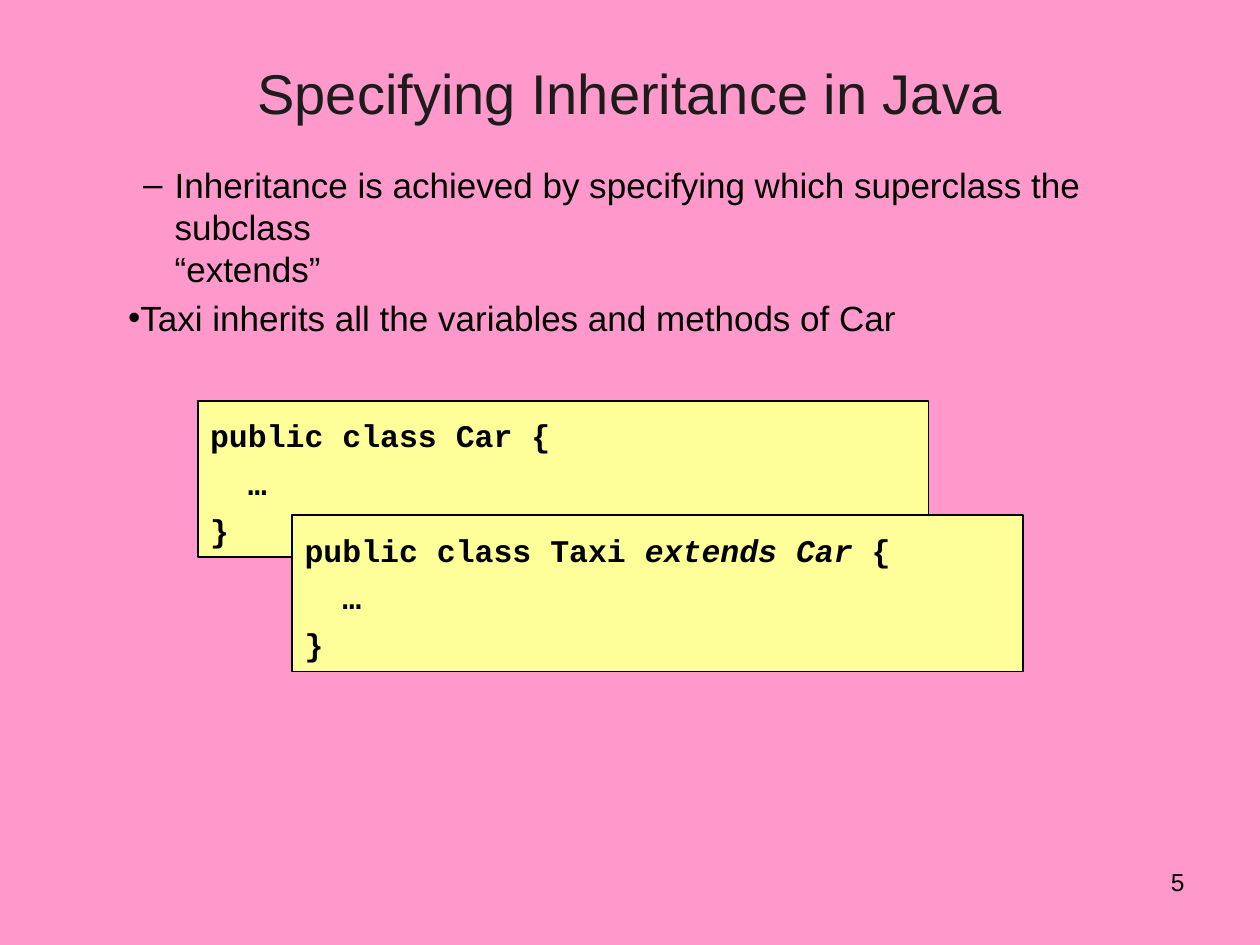
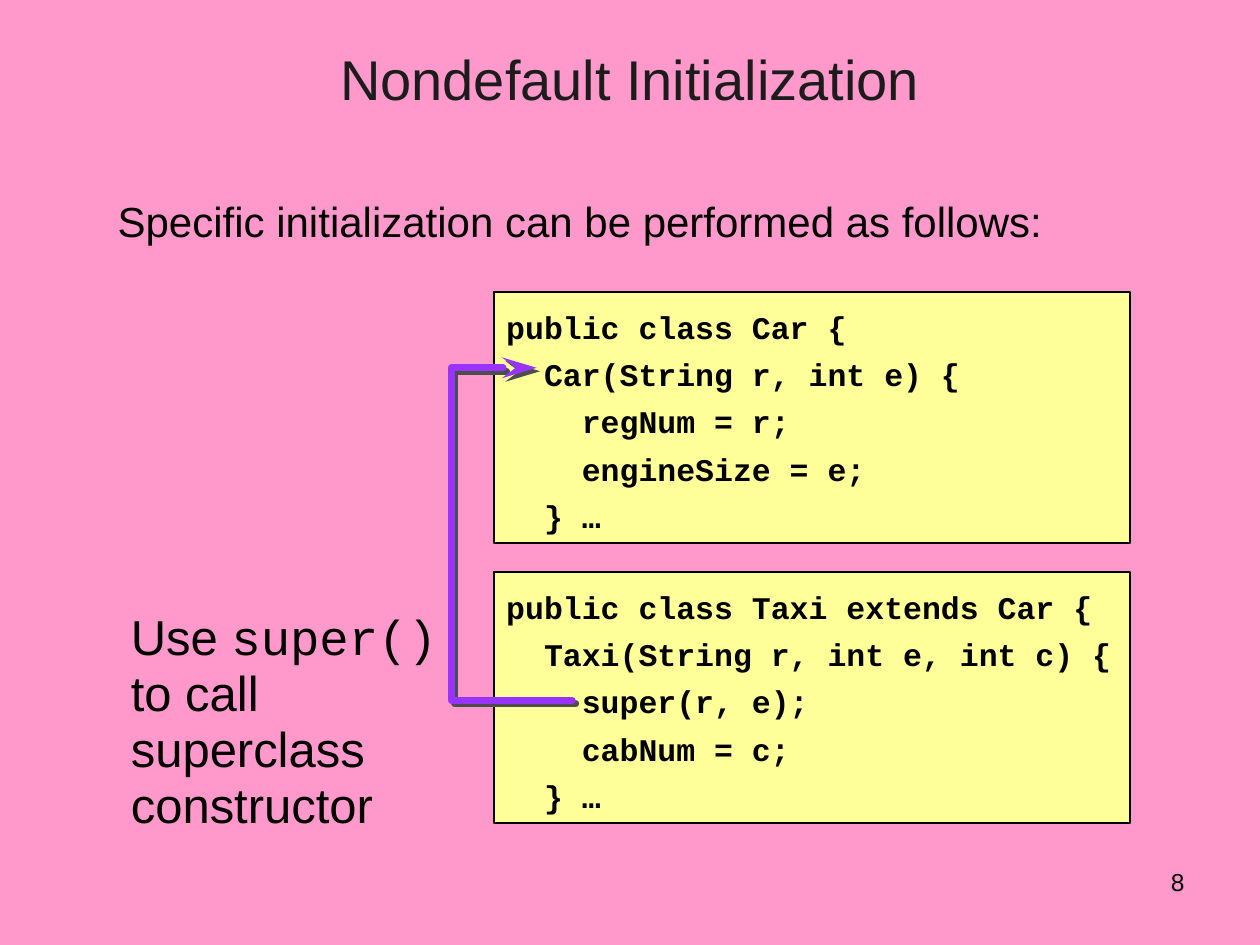
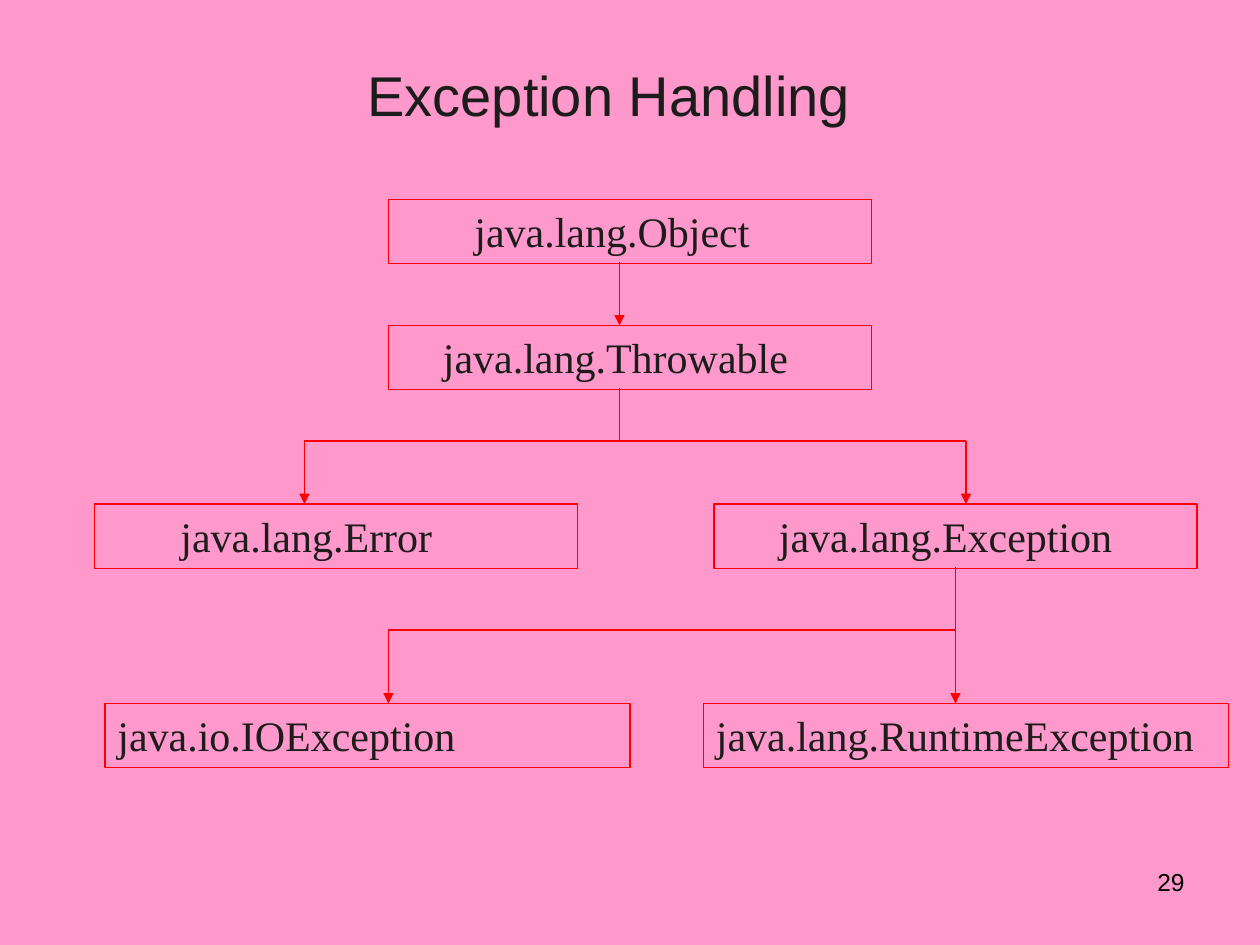
from lxml import etree
from pptx import Presentation
from pptx.dml.color import RGBColor
from pptx.enum.shapes import MSO_CONNECTOR, MSO_SHAPE
from pptx.enum.text import MSO_ANCHOR, MSO_AUTO_SIZE, PP_ALIGN
from pptx.oxml.ns import qn
from pptx.util import Pt

RECT = MSO_SHAPE.RECTANGLE
STRAIGHT = MSO_CONNECTOR.STRAIGHT
TOP, MIDDLE = MSO_ANCHOR.TOP, MSO_ANCHOR.MIDDLE
LEFT, CENTER, RIGHT = PP_ALIGN.LEFT, PP_ALIGN.CENTER, PP_ALIGN.RIGHT
GROW, FIXED = MSO_AUTO_SIZE.SHAPE_TO_FIT_TEXT, MSO_AUTO_SIZE.NONE

# Shared colours and text styles
PINK, YELLOW, RED, PURPLE = "FF99CC", "FFFF99", "FF0000", "9933FF"
BLACK, INK, SHADOW = "000000", "1C1C1C", "4D4D4D"

TITLE = {"name": "Arial", "size": Pt(32), "color": INK, "bold": False}
BODY = {"name": "Arial", "size": Pt(20), "color": BLACK}
LEAD = {**BODY, "size": Pt(24)}
NOTE = {**BODY, "size": Pt(28)}
NUMBER = {**BODY, "size": Pt(14)}
CODE = {"name": "Courier New", "size": Pt(18), "color": BLACK, "bold": True}
CLASS = {"name": "Times New Roman", "size": Pt(24), "color": INK}

CODE_STEP = 21.6  # two characters of code
BOX_H = 36.7      # class box


def rgb(value):
    return RGBColor.from_string(value)


def set_all(obj, values):
    for name, value in values.items():
        setattr(obj, name, value)


def pts(*values):
    return [Pt(v) for v in values]


# Text
def add_run(p, text, style):
    r = p.add_run()
    r.text = text
    set_all(r.font, {k: v for k, v in style.items() if k != "color"})
    r.font.color.rgb = rgb(style["color"])


def write(tf, paras, style, anchor=TOP, auto_size=GROW):
    """Each paragraph is (runs, options); runs is a text or a list of (text, changes)."""
    set_all(tf, {"word_wrap": True, "auto_size": auto_size, "vertical_anchor": anchor})
    for i, (runs, opts) in enumerate(paras):
        p = tf.paragraphs[0] if i == 0 else tf.add_paragraph()
        set_all(p, {"alignment": opts.get("align", LEFT), "level": opts.get("level", 0),
                    "space_before": Pt(opts.get("before", 0)),
                    "line_spacing": opts.get("spacing", 1.0)})
        pPr = p._p.get_or_add_pPr()
        pPr.set("marL", str(Pt(opts.get("left", 0))))
        pPr.set("indent", str(Pt(opts.get("hang", 0))))
        if "bullet" in opts:
            etree.SubElement(pPr, qn("a:buChar"), char=opts["bullet"])
        else:
            etree.SubElement(pPr, qn("a:buNone"))
        for text, changes in [(runs, {})] if isinstance(runs, str) else runs:
            for j, part in enumerate(text.split("\n")):
                if j:
                    p.add_line_break()
                add_run(p, part, {**style, **changes})


def place(sp, box):
    set_all(sp, dict(zip(("left", "top", "width", "height"), pts(*box))))


def text_box(s, box, paras, style, **frame):
    tb = s.shapes.add_textbox(*pts(*box))
    write(tb.text_frame, paras, style, **frame)


def new_slide(prs, layout, title, box, number, anchor=TOP):
    s = prs.slides.add_slide(prs.slide_layouts[layout])
    place(s.shapes.title, box)
    write(s.shapes.title.text_frame, [(title, {"align": CENTER})], TITLE,
          anchor=anchor, auto_size=FIXED)
    text_box(s, (516, 492, 168, 37.4), [(number, {"align": RIGHT})], NUMBER,
             auto_size=FIXED)
    return s


def body(s, box, paras, style):
    sp = s.placeholders[1]
    place(sp, box)
    write(sp.text_frame, paras, style)


# Boxes
def text_rect(s, box, paras, style, line, width, fill=None):
    sp = s.shapes.add_shape(RECT, *pts(*box))
    sp.shadow.inherit = False
    if fill:
        sp.fill.solid()
        sp.fill.fore_color.rgb = rgb(fill)
    else:
        sp.fill.background()
    sp.line.color.rgb = rgb(line)
    sp.line.width = Pt(width)
    write(sp.text_frame, paras, style)


def code_box(s, box, lines):
    paras = [(runs, {"left": depth * CODE_STEP, "spacing": 1.25}) for depth, runs in lines]
    text_rect(s, box, paras, CODE, BLACK, 1, YELLOW)


def class_box(s, x, y, w, name, indent=0):
    text_rect(s, (x, y, w, BOX_H), [(name, {"left": indent})], CLASS, RED, 0.75)


# Lines
def arrowhead(line, **attrs):
    etree.SubElement(line._get_or_add_ln(), qn("a:tailEnd"), **attrs)


def tree_line(s, x1, y1, x2, y2, arrow=False):
    c = s.shapes.add_connector(STRAIGHT, *pts(x1, y1, x2, y2))
    c.line.color.rgb = rgb(RED)
    c.line.width = Pt(0.75)
    if arrow:
        arrowhead(c.line, type="triangle")
    etree.SubElement(c._element.spPr, qn("a:effectLst"))


def call_arrow(s, points):
    start, *rest = [tuple(pts(*xy)) for xy in points]
    fb = s.shapes.build_freeform(*start)
    fb.add_line_segments(rest, close=False)
    sp = fb.convert_to_shape()
    sp.fill.background()
    sp.line.color.rgb = rgb(PURPLE)
    sp.line.width = Pt(4)
    sp.line._get_or_add_ln().set("cap", "rnd")
    etree.SubElement(sp.line._get_or_add_ln(), qn("a:round"))
    arrowhead(sp.line, type="stealth", w="med", len="lg")
    sp.shadow.inherit = False
    effects = sp._element.spPr.find(qn("a:effectLst"))
    shadow = etree.SubElement(effects, qn("a:outerShdw"), dist=str(Pt(2.8)),
                              dir=str(45 * 60000), algn="ctr", rotWithShape="0")
    etree.SubElement(shadow, qn("a:srgbClr"), val=SHADOW)


# Slides
def inheritance_slide(prs):
    s = new_slide(prs, 1, "Specifying Inheritance in Java", (54, 30, 612, 90), "5")
    body(s, (66, 90, 593.5, 108), [
        ("Inheritance is achieved by specifying which superclass the subclass\n“extends”",
         {"level": 1, "left": 26.6, "hang": -18, "bullet": "–"}),
        ("Taxi inherits all the variables and methods of Car",
         {"before": 4, "bullet": "•"}),
    ], BODY)
    taxi = [("public class Taxi ", {}), ("extends Car", {"italic": True}), (" {", {})]
    for x, y, heading in ((113, 229, "public class Car {"), (167, 294.5, taxi)):
        code_box(s, (x, y, 417.6, 89.3), [(0, heading), (1, "…"), (0, "}")])


def initialization_slide(prs):
    s = new_slide(prs, 1, "Nondefault Initialization", (36, 21.6, 648, 50.4), "8")
    body(s, (60, 108, 593.5, 36),
         [("Specific initialization can be performed as follows:", {})], LEAD)
    car = [(0, "public class Car {"), (1, "Car(String r, int e) {"),
           (2, "regNum = r;"), (2, "engineSize = e;"), (1, "} …")]
    taxi = [(0, "public class Taxi extends Car {"),
            (1, "Taxi(String r, int e, int c) {"),
            (2, "super(r, e);"), (2, "cabNum = c;"), (1, "} …")]
    for y, lines in ((167, car), (327, taxi)):
        code_box(s, (282.2, y, 363.6, 143.3), lines)
    call_arrow(s, [(327, 400.3), (258, 400.3), (258, 210.2), (306.7, 210.2)])
    note = [("Use ", {}), ("super()", {"name": "Courier New"}),
            (" to call superclass constructor", {})]
    text_box(s, (67.7, 345.6, 212.4, 135.4), [(note, {"spacing": 0.95})], NOTE)


def exception_slide(prs):
    s = new_slide(prs, 5, "Exception Handling", (42, 18, 612, 72), "29", MIDDLE)
    for box in ((222, 114, 276, "java.lang.Object", 42),
                (222, 186, 276, "java.lang.Throwable", 24),
                (408, 288, 276, "java.lang.Exception", 30),
                (54, 288, 276, "java.lang.Error", 42),
                (402, 402, 300, "java.lang.RuntimeException"),
                (60, 402, 300, "java.io.IOException")):
        class_box(s, *box)
    # Object to Throwable, then Throwable to its two subclasses
    tree_line(s, 354, 150, 354, 186, arrow=True)
    tree_line(s, 354, 222, 354, 252)
    for x in (552, 174):
        tree_line(s, 354, 252, x, 252)
        tree_line(s, x, 252, x, 288, arrow=True)
    # Exception to its two subclasses
    tree_line(s, 546, 324, 546, 402, arrow=True)
    tree_line(s, 546, 360, 222, 360)
    tree_line(s, 222, 360, 222, 402, arrow=True)


def main():
    prs = Presentation()
    prs.slide_width, prs.slide_height = pts(720, 540)
    fill = prs.slide_master.background.fill
    fill.solid()
    fill.fore_color.rgb = rgb(PINK)
    inheritance_slide(prs)
    initialization_slide(prs)
    exception_slide(prs)
    prs.save("out.pptx")


if __name__ == "__main__":
    main()
